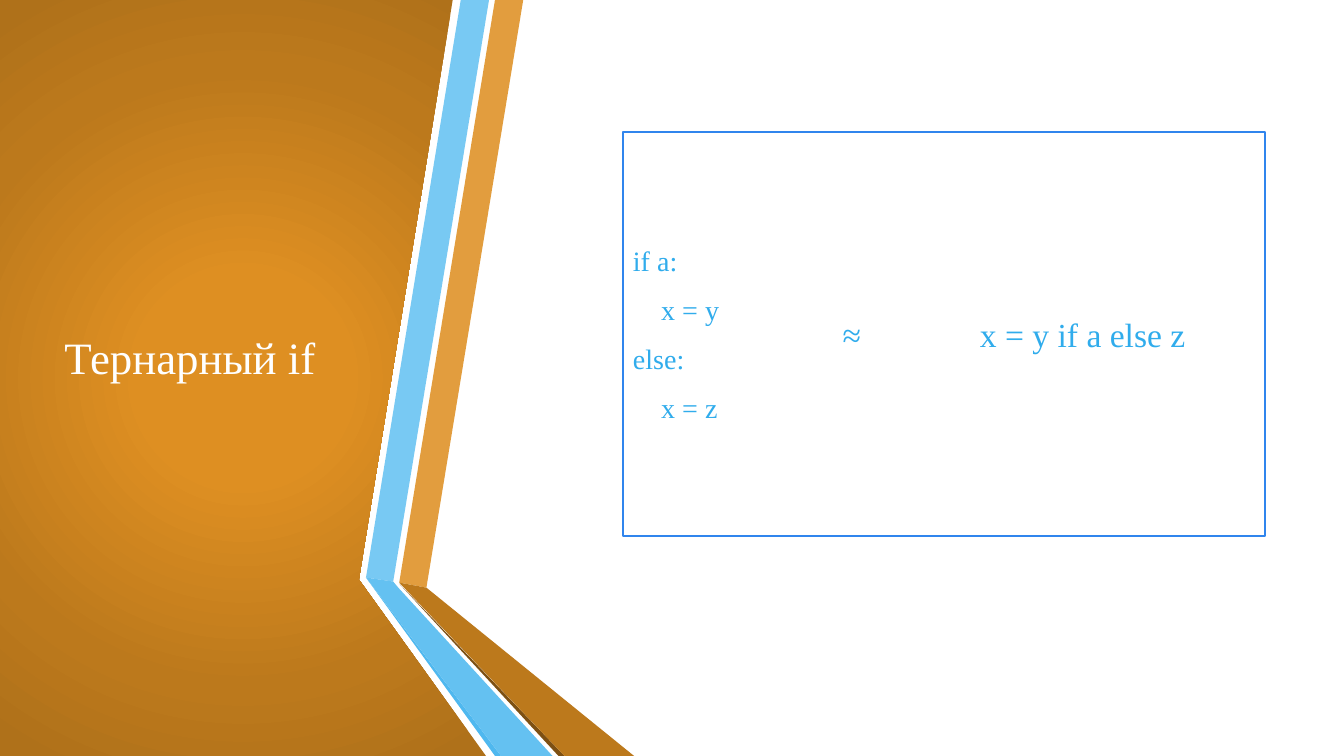
from lxml.etree import SubElement
from pptx import Presentation
from pptx.dml.color import RGBColor
from pptx.enum.shapes import MSO_SHAPE as Kind
from pptx.enum.text import MSO_ANCHOR as Anchor, PP_ALIGN as Align
from pptx.oxml.ns import qn
from pptx.util import Pt

PX = 9144  # 100 px to the inch
FONT = "Times New Roman"
WHITE, BLUE, EDGE = "FFFFFF", "30ACEC", "3085ED"

# Bands of the ribbon: colour and outline, measured from its left edge
BANDS = [
    ("E29D3E", [(33, 578), (60, 583), (156, 0), (128, 0)]),
    ("78C9F3", [(122, 0), (94, 0), (0, 573), (27, 577)]),
    ("4FB8EF", [(0, 573), (128, 750), (134, 750)]),
    ("7D5013", [(33, 579), (191, 750), (197, 750)]),
    ("BC791C", [(33, 578), (197, 750), (266, 750), (60, 583)]),
    ("64C1F1", [(0, 573), (134, 750), (185, 750), (32, 583), (27, 577)]),
]
PANEL = [(0, 0), (449, 0), (356, 575), (482, 750), (0, 750)]
STOPS = [(0, "DE8F22"), (23, "DE8F22"), (69, "BC791C"), (97, "AF711A")]


def rgb(code):
    return RGBColor.from_string(code)


def paint(shape, color):
    shape.shadow.inherit = False
    shape.fill.solid()
    shape.fill.fore_color.rgb = rgb(color)
    shape.line.fill.background()


def outline(slide, x, y, dots, color):
    dots = [(x + dx, y + dy) for dx, dy in dots]
    pen = slide.shapes.build_freeform(*dots[0], scale=PX)
    pen.add_line_segments(dots[1:], close=True)
    shape = pen.convert_to_shape()
    paint(shape, color)
    return shape


def glow(shape, stops):
    """Fill the shape with a round gradient from its centre."""
    shape.fill.gradient()
    grad = shape._element.spPr.find(qn("a:gradFill"))
    for part in list(grad):
        grad.remove(part)
    rows = SubElement(grad, qn("a:gsLst"))
    for pos, color in stops:
        stop = SubElement(rows, qn("a:gs"), pos=str(pos * 1000))
        SubElement(stop, qn("a:srgbClr"), val=color)
    ring = SubElement(grad, qn("a:path"), path="circle")
    SubElement(ring, qn("a:fillToRect"), l="50000", t="50000", r="50000", b="50000")


def write(shape, lines, size=24, color=BLUE, align=Align.LEFT, before=0, after=0):
    """Put (text, indent) lines into the shape."""
    frame = shape.text_frame
    frame.word_wrap = True
    frame.vertical_anchor = Anchor.MIDDLE
    for i, (text, indent) in enumerate(lines):
        para = frame.add_paragraph() if i else frame.paragraphs[0]
        para.alignment = align
        para.space_before, para.space_after = Pt(before), Pt(after)
        if indent:
            para._p.get_or_add_pPr().set("marL", str(indent * PX))
        run = para.add_run()
        run.text = text
        run.font.name, run.font.size = FONT, Pt(size)
        run.font.color.rgb = rgb(color)


def label(slide, x, y, w, h, text, **form):
    box = slide.shapes.add_textbox(x * PX, y * PX, w * PX, h * PX)
    write(box, [(text, 0)], **form)


def side(slide, x, y):
    """Title panel with the folded ribbon along its edge."""
    glow(outline(slide, x, y, PANEL, WHITE), STOPS)
    label(slide, x + 54, y + 75, 300, 558, "Тернарный if", size=32, color=WHITE)
    for color, dots in BANDS:
        outline(slide, x + 363, y, dots, color)


def code(slide, x, y, w, h):
    """Framed comparison of the two forms."""
    frame = slide.shapes.add_shape(Kind.RECTANGLE, x * PX, y * PX, w * PX, h * PX)
    paint(frame, WHITE)
    frame.line.color.rgb = rgb(EDGE)
    frame.line.width = Pt(1.25)
    lines = [("if a:", 0), ("x = y", 28), ("else:", 0), ("x = z", 28)]
    write(frame, lines, size=20, before=5, after=6)
    label(slide, x + 344, y + 29, 356, 342, "x = y if a else z", before=5, after=6)
    label(slide, x + 49, y + 29, 356, 342, "≈", align=Align.CENTER, before=5, after=6)


def main():
    deck = Presentation()
    deck.slide_width, deck.slide_height = 1333 * PX, 750 * PX
    slide = deck.slides.add_slide(deck.slide_layouts[6])
    side(slide, 0, 0)
    code(slide, 618, 131, 637, 401)
    deck.save("out.pptx")


if __name__ == "__main__":
    main()
